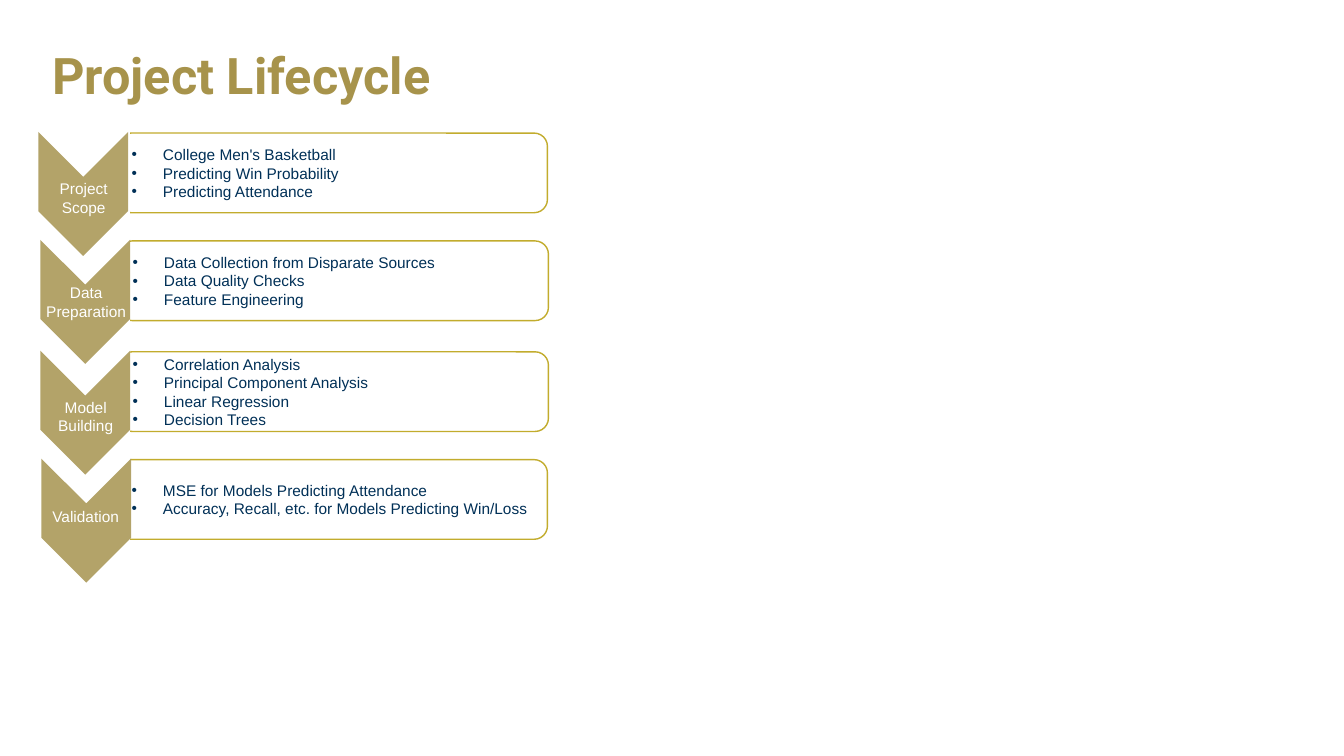
from typing import NamedTuple

from lxml.etree import SubElement
from pptx import Presentation
from pptx.dml.color import RGBColor
from pptx.enum.shapes import MSO_SHAPE as Shape
from pptx.enum.text import MSO_ANCHOR as Anchor, PP_ALIGN as Align
from pptx.oxml.ns import qn
from pptx.util import Inches, Pt

WHITE = RGBColor(0xFF, 0xFF, 0xFF)
NAVY = RGBColor(0x00, 0x30, 0x57)
TITLE_GOLD = RGBColor(0xA7, 0x93, 0x4B)
CHEVRON_GOLD = RGBColor(0xB3, 0xA3, 0x69)
BORDER_GOLD = RGBColor(0xC2, 0xAC, 0x2D)

CARD_WIDTH, CARD_HEIGHT = 4.26, 0.79
CHEVRON_LENGTH, CHEVRON_WIDTH = 1.23, 0.89
BULLET_INDENT = 0.31


class Stage(NamedTuple):
    label: str
    points: list[str]
    card_left: float
    card_top: float
    chevron_left: float
    label_left: float
    label_top: float
    label_width: float = 0.88
    label_height: float = 0.47


STAGES = [
    Stage("Project Scope",
          ["College Men's Basketball", "Predicting Win Probability", "Predicting Attendance"],
          1.17, 1.32, 0.21, 0.39, 1.73),
    Stage("Data Preparation",
          ["Data Collection from Disparate Sources", "Data Quality Checks",
           "Feature Engineering"],
          1.18, 2.39, 0.23, 0.36, 2.76, label_width=0.99),
    Stage("Model Building",
          ["Correlation Analysis", "Principal Component Analysis", "Linear Regression",
           "Decision Trees"],
          1.18, 3.49, 0.23, 0.41, 3.9),
    Stage("Validation",
          ["MSE for Models Predicting Attendance",
           "Accuracy, Recall, etc. for Models Predicting Win/Loss"],
          1.17, 4.56, 0.24, 0.41, 4.98, label_height=0.29),
]


def add_bullet(para) -> None:
    properties = para._p.get_or_add_pPr()
    properties.set("marL", str(Inches(BULLET_INDENT)))
    properties.set("indent", str(-Inches(BULLET_INDENT)))
    SubElement(properties, qn("a:buFont"), typeface="Arial")
    SubElement(properties, qn("a:buChar"), char="•")


def write_text(box, lines: list[str], *, color: RGBColor, size: float = 11,
               font: str = "Arial", bold: bool = False, align=Align.LEFT,
               anchor=Anchor.TOP, bullets: bool = False,
               line_spacing: float | None = None) -> None:
    frame = box.text_frame
    frame.word_wrap = True
    frame.vertical_anchor = anchor
    for index, line in enumerate(lines):
        para = frame.paragraphs[0] if index == 0 else frame.add_paragraph()
        para.alignment = align
        para.line_spacing = line_spacing
        if bullets:
            add_bullet(para)
        span = para.add_run()
        span.text = line
        span.font.name = font
        span.font.size = Pt(size)
        span.font.bold = bold
        span.font.color.rgb = color


def add_filled(shapes, kind, left: float, top: float, width: float, height: float,
               fill: RGBColor, line: RGBColor | None = None):
    shape = shapes.add_shape(kind, Inches(left), Inches(top), Inches(width), Inches(height))
    shape.shadow.inherit = False
    shape.fill.solid()
    shape.fill.fore_color.rgb = fill
    if line is None:
        shape.line.fill.background()
    else:
        shape.line.color.rgb = line
        shape.line.width = Pt(1)
    return shape


def add_card(page, stage: Stage) -> None:
    card = add_filled(page.shapes, Shape.ROUNDED_RECTANGLE, stage.card_left, stage.card_top,
                      CARD_WIDTH, CARD_HEIGHT, WHITE, BORDER_GOLD)
    write_text(card, stage.points, color=NAVY, anchor=Anchor.MIDDLE, bullets=True)


def add_chevron(page, stage: Stage) -> None:
    """Group a downward chevron with its label."""
    group = page.shapes.add_group_shape()
    chevron = add_filled(group.shapes, Shape.CHEVRON, stage.chevron_left,
                         stage.card_top + 0.16, CHEVRON_LENGTH, CHEVRON_WIDTH, CHEVRON_GOLD)
    chevron.rotation = 90
    label = group.shapes.add_textbox(Inches(stage.label_left), Inches(stage.label_top),
                                     Inches(stage.label_width), Inches(stage.label_height))
    label.text_frame.margin_left = label.text_frame.margin_right = Inches(0.05)
    write_text(label, [stage.label], color=WHITE, align=Align.CENTER)


def main() -> None:
    deck = Presentation()
    deck.slide_width, deck.slide_height = Inches(13.33), Inches(7.5)
    page = deck.slides.add_slide(deck.slide_layouts[6])

    for stage in reversed(STAGES):
        add_card(page, stage)
    # The white band squares off the left ends of the cards.
    add_filled(page.shapes, Shape.RECTANGLE, 0, 1.21, 1.28, 6.21, WHITE, WHITE)

    title = page.shapes.add_textbox(Inches(0.42), Inches(0.22), Inches(12.5), Inches(1.11))
    write_text(title, ["Project Lifecycle"], color=TITLE_GOLD, size=36, font="Roboto",
               bold=True, anchor=Anchor.MIDDLE, line_spacing=0.9)

    for stage in STAGES:
        add_chevron(page, stage)
    deck.save("out.pptx")


if __name__ == "__main__":
    main()
